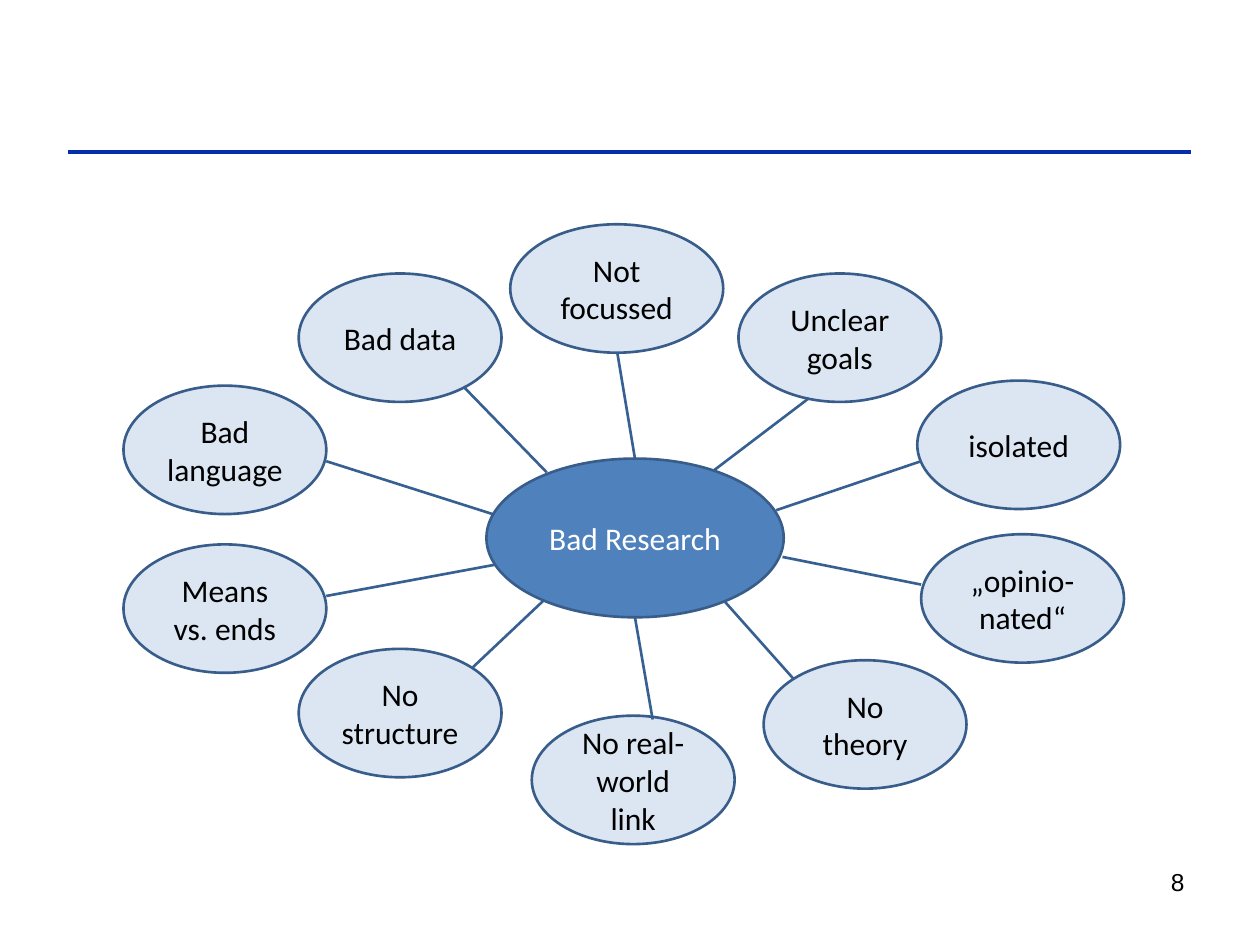
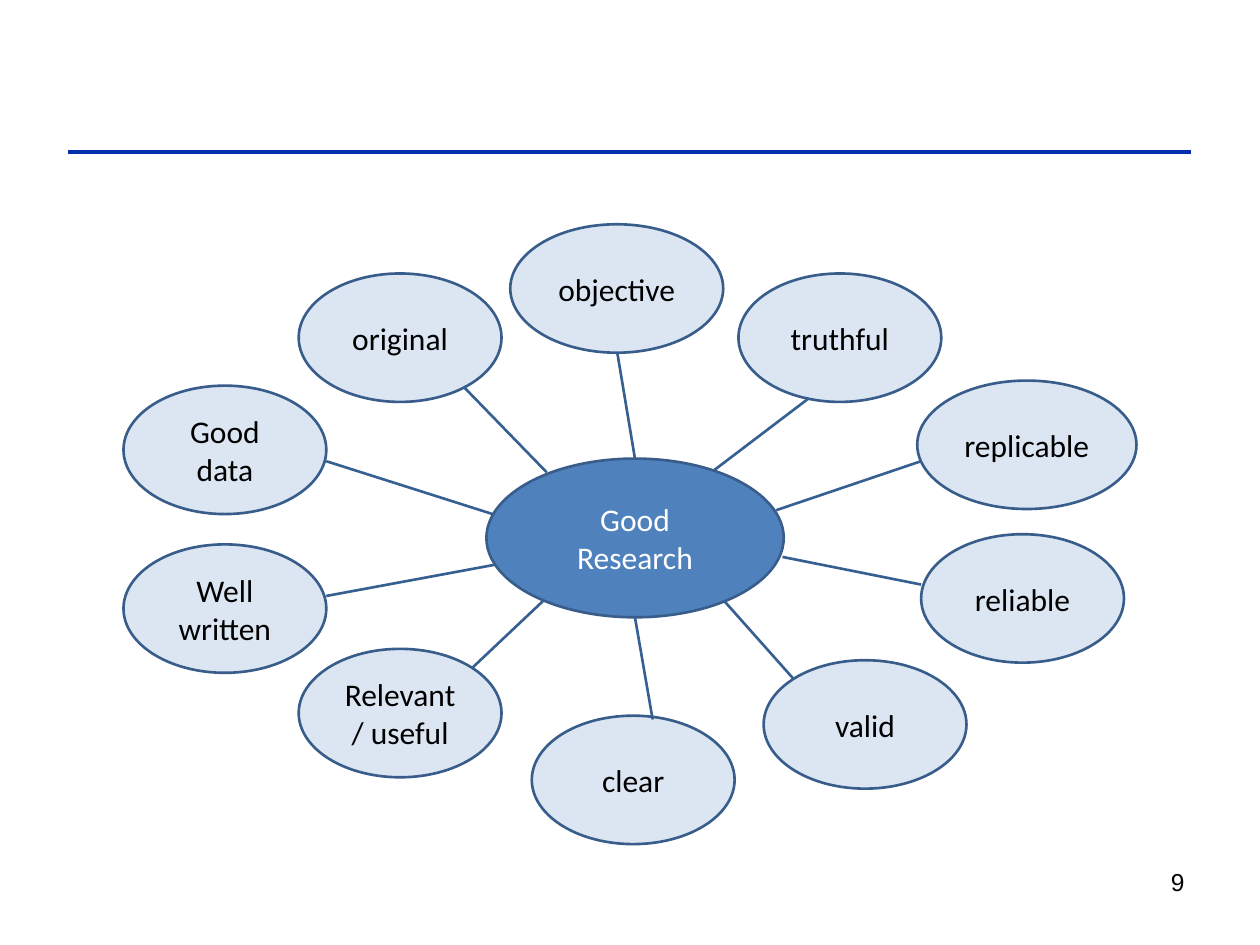
import pptx
import pptx.dml.color
import pptx.enum.shapes
import pptx.enum.text
import pptx.util
from lxml import etree

Pt = pptx.util.Pt
ALIGN = pptx.enum.text.PP_ALIGN

RULE, EDGE, SPOKE = "042EAE", "385D8A", "376092"
HUB_FILL, NODE_FILL = "4F81BD", "DCE6F2"
BLACK, WHITE = "000000", "FFFFFF"

RULE_BOX = (39, 87, 641.5, 0)
NUMBER_BOX = (516.24, 491.76, 167.76, 37.44)
DIAGRAM_BOX = (70.56, 128.16, 580, 355)

NODE_WIDTH, NODE_HEIGHT = 115.9, 73.4
TOP_NODE_WIDTH = 121.7
HUB_BOX = (207.4, 133.9, 169.9, 90.7)

# Clockwise from the top: node corner, spoke end at the hub, spoke end at the node
PLACES = [
    ((221, 0), (292.3, 133.9), (282.2, 73.4)),
    ((351.4, 28.1), (334.8, 142.6), (391.7, 99.4)),
    ((453.6, 89.3), (373, 163.4), (455.8, 135.4)),
    ((455.8, 177.1), (376.6, 190.1), (455.8, 205.9)),
    ((365.8, 249.1), (342.7, 214.6), (383, 259.9)),
    ((233.3, 280.8), (292.3, 224.6), (302.4, 283)),
    ((100.1, 242.6), (240.5, 214.6), (199.4, 253.4)),
    ((0, 182.9), (213.1, 194.4), (115.9, 212.4)),
    ((0, 92.2), (213.1, 166.3), (115.9, 135.4)),
    ((100.1, 28.1), (241.9, 141.8), (194.4, 92.9)),
]

# Number, hub, node labels clockwise from the top, widths that differ
SLIDES = [
    (8, "Bad Research",
     ["Not focussed", "Unclear goals", "isolated", "„opinio-nated“", "No theory",
      "No real-world link", "No structure", "Means vs. ends", "Bad language",
      "Bad data"],
     {0: TOP_NODE_WIDTH}),
    (9, "Good Research",
     ["objective", "truthful", "replicable", "reliable", "valid",
      "clear", "Relevant / useful", "Well written", "Good data", "original"],
     {0: TOP_NODE_WIDTH, 2: 125.3}),
]


def rgb(value):
    return pptx.dml.color.RGBColor.from_string(value)


def write(sp, text, size, font, color, align):
    tf = sp.text_frame
    tf.word_wrap = True
    p = tf.paragraphs[0]
    p.text = text
    p.alignment = align
    p.font.size = Pt(size)
    p.font.name = font
    p.font.color.rgb = rgb(color)


def add_line(s, start, end, color, width):
    line = s.shapes.add_connector(
        pptx.enum.shapes.MSO_CONNECTOR.STRAIGHT, *map(Pt, start + end))
    line.line.color.rgb = rgb(color)
    line.line.width = Pt(width)
    etree.SubElement(line._element.spPr, pptx.oxml.ns.qn("a:effectLst"))


def add_ellipse(s, box, text, fill, color):
    sp = s.shapes.add_shape(pptx.enum.shapes.MSO_SHAPE.OVAL, *map(Pt, box))
    sp.shadow.inherit = False
    sp.fill.solid()
    sp.fill.fore_color.rgb = rgb(fill)
    sp.line.color.rgb = rgb(EDGE)
    sp.line.width = Pt(1.5)
    sp.text_frame.vertical_anchor = pptx.enum.text.MSO_ANCHOR.MIDDLE
    write(sp, text, 18, "Calibri", color, ALIGN.CENTER)


def add_frame(s, number):
    """Header rule and page number."""
    left, top, width, height = RULE_BOX
    add_line(s, (left, top), (left + width, top + height), RULE, 2)
    sp = s.shapes.add_textbox(*map(Pt, NUMBER_BOX))
    write(sp, str(number), 14, "Arial", BLACK, ALIGN.RIGHT)


def add_hub_diagram(s, box, hub, labels, widths):
    left, top = box[:2]

    def place(point):
        return left + point[0], top + point[1]

    for i, (label, (corner, _, _)) in enumerate(zip(labels, PLACES)):
        size = (widths.get(i, NODE_WIDTH), NODE_HEIGHT)
        add_ellipse(s, place(corner) + size, label, NODE_FILL, BLACK)
    for _, hub_end, node_end in PLACES:
        add_line(s, place(hub_end), place(node_end), SPOKE, 1.5)
    add_ellipse(s, place(HUB_BOX) + HUB_BOX[2:], hub, HUB_FILL, WHITE)


def main():
    prs = pptx.Presentation()
    prs.slide_width, prs.slide_height = Pt(720), Pt(540)
    for number, hub, labels, widths in SLIDES:
        s = prs.slides.add_slide(prs.slide_layouts[6])
        add_frame(s, number)
        add_hub_diagram(s, DIAGRAM_BOX, hub, labels, widths)
    prs.save("out.pptx")


if __name__ == "__main__":
    main()
